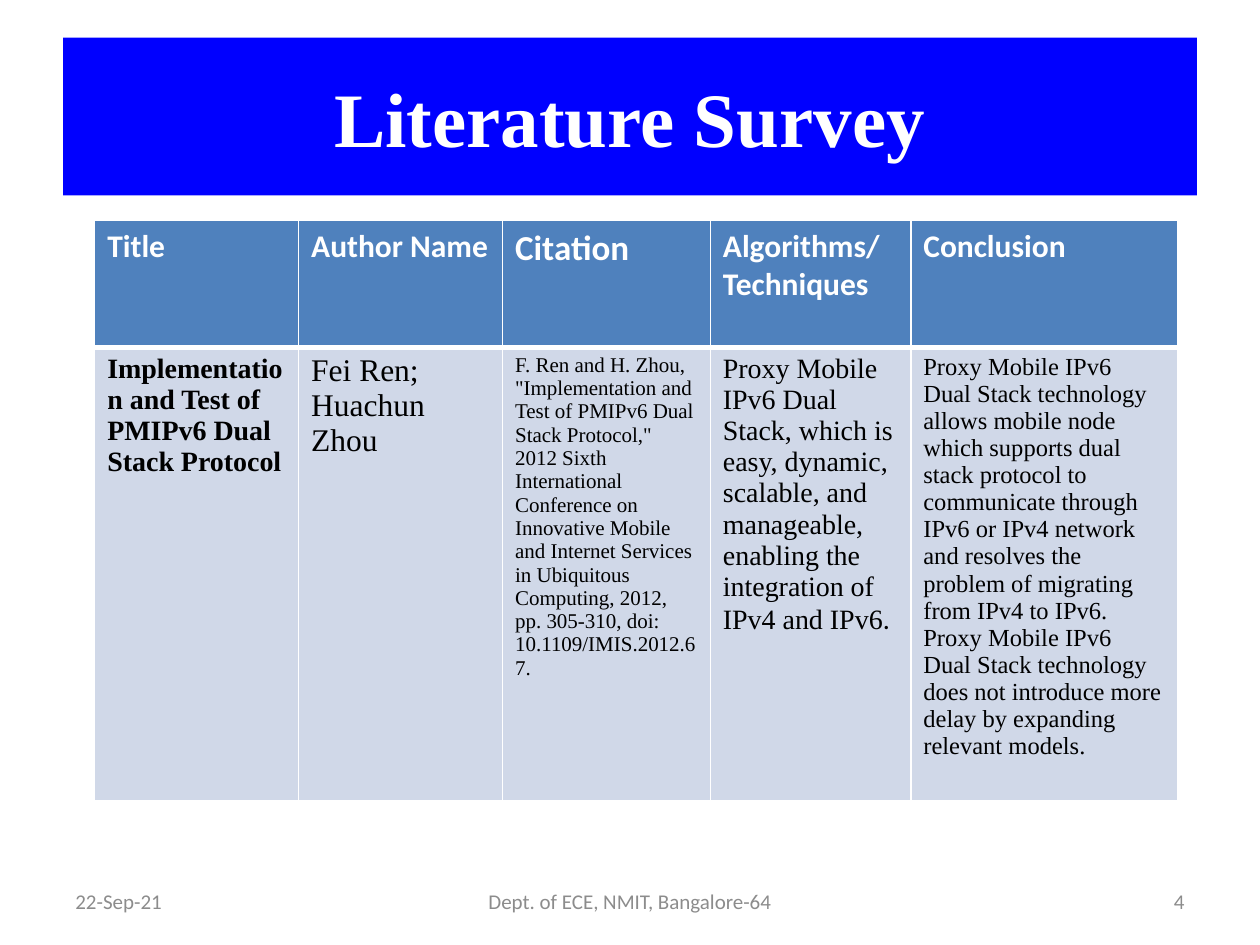
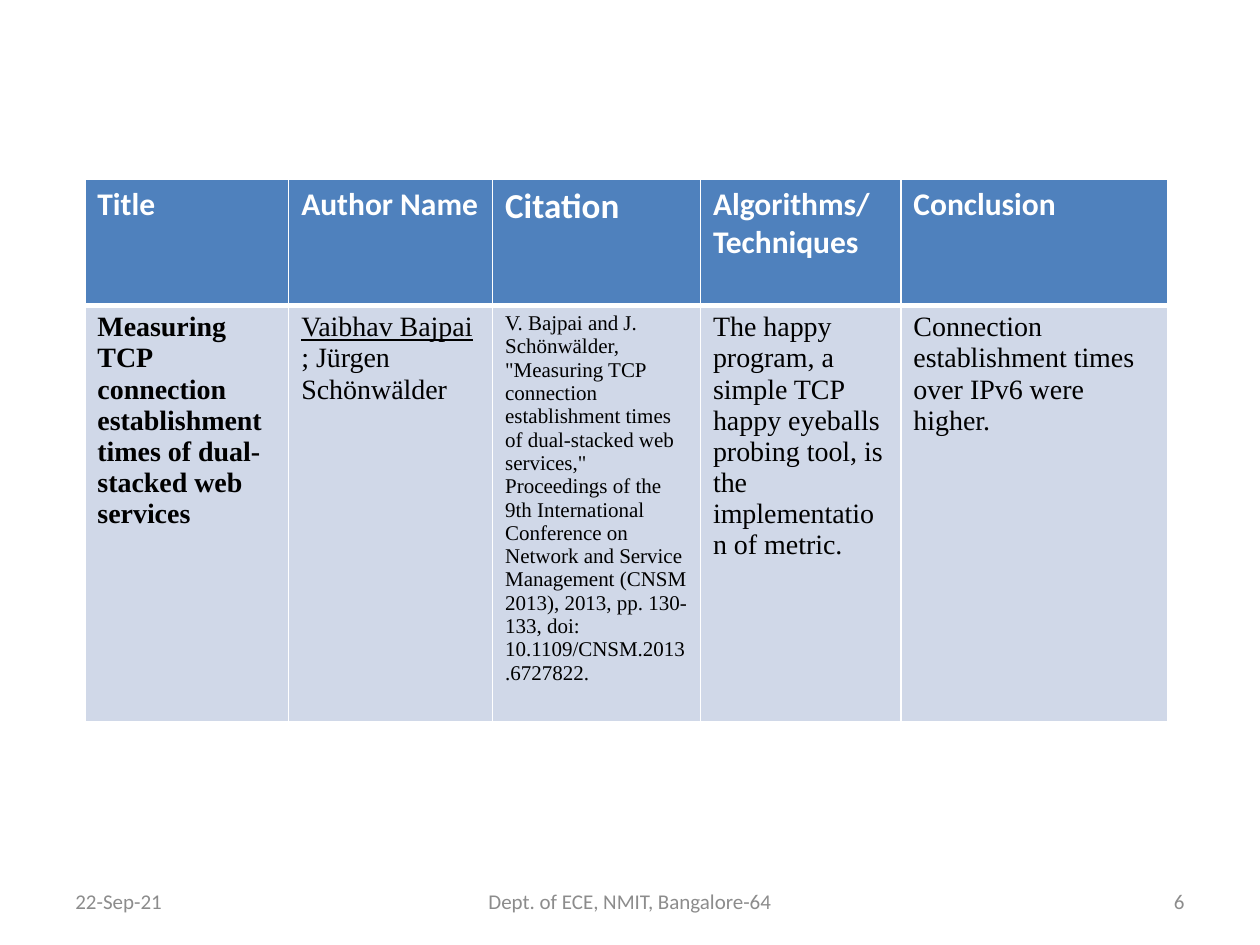
from dataclasses import dataclass

from lxml.etree import SubElement
from pptx import Presentation
from pptx.dml.color import RGBColor
from pptx.enum.text import MSO_ANCHOR, PP_ALIGN
from pptx.oxml.ns import qn
from pptx.util import Cm, Pt


@dataclass(frozen=True)
class Theme:
    heading_font: str = "Calibri"
    body_font: str = "Times New Roman"
    white: str = "FFFFFF"
    black: str = "000000"
    grey: str = "8C8C8C"
    title_fill: str = "0000FF"
    header_fill: str = "4F81BD"
    body_fill: str = "D0D8E8"
    title_size: int = 44
    large: int = 20
    medium: int = 18
    normal: int = 16
    compact: int = 14
    small: int = 12
    thin: int = 1
    thick: int = 3


@dataclass(frozen=True)
class Box:
    left: float
    top: float
    width: float
    height: float

    def lengths(self):
        return [Cm(value) for value in (self.left, self.top, self.width, self.height)]


@dataclass(frozen=True)
class Survey:
    """One table: each cell is a list of paragraphs, each a list of (text, format)."""
    page: int
    box: Box
    cells: list
    title: str = ""


THEME = Theme()
TITLE_BOX = Box(1.27, 0.76, 22.86, 3.18)
FOOTER_BOX = Box(1.27, 17.65, 22.86, 1.02)
COLUMN_WIDTHS = [4.11, 4.11, 4.19, 4.04, 5.38]
HEADER_HEIGHT = 2.55
HEADINGS = ["Title", "Author Name", "Citation", "Algorithms/Techniques", "Conclusion"]
DATE = "22-Sep-21"
DEPARTMENT = "Dept. of ECE, NMIT, Bangalore-64"


def add_text(paragraph, text, size=THEME.normal, font=THEME.body_font,
             color=THEME.black, bold=False, underline=False, align=PP_ALIGN.LEFT):
    paragraph.alignment = align
    run = paragraph.add_run()
    run.text = text
    run.font.size = Pt(size)
    run.font.name = font
    run.font.color.rgb = RGBColor.from_string(color)
    run.font.bold = bold
    run.font.underline = underline


def set_fill(target, color):
    target.fill.solid()
    target.fill.fore_color.rgb = RGBColor.from_string(color)


def set_borders(cell, top, bottom):
    properties = cell._tc.get_or_add_tcPr()
    widths = {"L": THEME.thin, "R": THEME.thin, "T": top, "B": bottom}
    for side, width in widths.items():
        line = SubElement(properties, qn(f"a:ln{side}"), w=str(Pt(width)))
        fill = SubElement(line, qn("a:solidFill"))
        SubElement(fill, qn("a:srgbClr"), val=THEME.white)


def fill_cell(cell, paragraphs, color, top, bottom):
    set_borders(cell, top, bottom)
    set_fill(cell, color)
    for index, runs in enumerate(paragraphs):
        frame = cell.text_frame
        paragraph = frame.add_paragraph() if index else frame.paragraphs[0]
        for text, text_format in runs:
            add_text(paragraph, text, **text_format)


def add_title(slide, text, box):
    title = slide.shapes.title
    title.left, title.top, title.width, title.height = box.lengths()
    set_fill(title, THEME.title_fill)
    title.text_frame.vertical_anchor = MSO_ANCHOR.MIDDLE
    add_text(title.text_frame.paragraphs[0], text, size=THEME.title_size,
             color=THEME.white, bold=True, align=PP_ALIGN.CENTER)


def add_footer(slide, page, box):
    side, middle = 5.92, 8.05
    parts = [
        (DATE, 0, side, PP_ALIGN.LEFT),
        (DEPARTMENT, (box.width - middle) / 2, middle, PP_ALIGN.CENTER),
        (str(page), box.width - side, side, PP_ALIGN.RIGHT),
    ]
    for text, offset, width, align in parts:
        place = Box(box.left + offset, box.top, width, box.height)
        frame = slide.shapes.add_textbox(*place.lengths()).text_frame
        frame.word_wrap = True
        frame.vertical_anchor = MSO_ANCHOR.MIDDLE
        add_text(frame.paragraphs[0], text, size=THEME.small,
                 font=THEME.heading_font, color=THEME.grey, align=align)


def add_survey_table(slide, cells, box):
    table = slide.shapes.add_table(2, len(HEADINGS), *box.lengths()).table
    for column, width in zip(table.columns, COLUMN_WIDTHS):
        column.width = Cm(width)
    table.rows[0].height = Cm(HEADER_HEIGHT)
    table.rows[1].height = Cm(box.height - HEADER_HEIGHT)
    for index, (heading, paragraphs) in enumerate(zip(HEADINGS, cells)):
        size = THEME.large if heading == "Citation" else THEME.medium
        heading_format = dict(size=size, font=THEME.heading_font,
                              color=THEME.white, bold=True)
        fill_cell(table.cell(0, index), [[(heading, heading_format)]],
                  THEME.header_fill, THEME.thin, THEME.thick)
        fill_cell(table.cell(1, index), paragraphs,
                  THEME.body_fill, THEME.thick, THEME.thin)


def plain(*texts, **text_format):
    """A cell whose paragraphs all share one format."""
    return [[(text, text_format)] for text in texts]


SURVEYS = [
    Survey(
        page=4, title="Literature Survey", box=Box(1.91, 4.45, 21.83, 11),
        cells=[
            plain("Implementation and Test of PMIPv6 Dual Stack Protocol", bold=True),
            plain("Fei Ren; Huachun Zhou", size=THEME.medium),
            plain('F. Ren and H. Zhou, "Implementation and Test of PMIPv6 Dual Stack '
                  'Protocol," 2012 Sixth International Conference on Innovative Mobile '
                  "and Internet Services in Ubiquitous Computing, 2012, pp. 305-310, "
                  "doi: 10.1109/IMIS.2012.67.", size=THEME.small),
            [[("Proxy Mobile IPv6 Dual Stack, which is easy, dynamic, scalable, and "
               "manageable, enabling the integration of IPv4 and IPv6", {}),
              (".", {"font": THEME.heading_font})]],
            plain("Proxy Mobile IPv6 Dual Stack technology allows mobile node which "
                  "supports dual stack protocol to communicate through IPv6 or IPv4 "
                  "network and resolves the problem of migrating from IPv4 to IPv6.",
                  "Proxy Mobile IPv6 Dual Stack technology does not introduce more "
                  "delay by expanding relevant models.", size=THEME.compact),
        ],
    ),
    Survey(
        page=6, box=Box(1.71, 3.61, 21.83, 10.3),
        cells=[
            plain("Measuring TCP connection establishment times of dual-stacked web "
                  "services", bold=True),
            [[("Vaibhav Bajpai", {"underline": True})],
             [("; Jürgen Schönwälder", {})]],
            plain('V. Bajpai and J. Schönwälder, "Measuring TCP connection '
                  'establishment times of dual-stacked web services," Proceedings of '
                  "the 9th International Conference on Network and Service Management "
                  "(CNSM 2013), 2013, pp. 130-133, doi: 10.1109/CNSM.2013.6727822.",
                  size=THEME.small),
            plain("The happy program, a simple TCP happy eyeballs probing tool, is "
                  "the implementation of metric."),
            plain("Connection establishment times over IPv6 were higher."),
        ],
    ),
]


def add_survey_slide(presentation, survey):
    layout_name = "Title Only" if survey.title else "Blank"
    layout = presentation.slide_layouts.get_by_name(layout_name)
    slide = presentation.slides.add_slide(layout)
    add_footer(slide, survey.page, FOOTER_BOX)
    add_survey_table(slide, survey.cells, survey.box)
    if survey.title:
        add_title(slide, survey.title, TITLE_BOX)


def main():
    presentation = Presentation()
    presentation.slide_width = Cm(25.4)
    presentation.slide_height = Cm(19.05)
    for survey in SURVEYS:
        add_survey_slide(presentation, survey)
    presentation.save("out.pptx")


if __name__ == "__main__":
    main()
